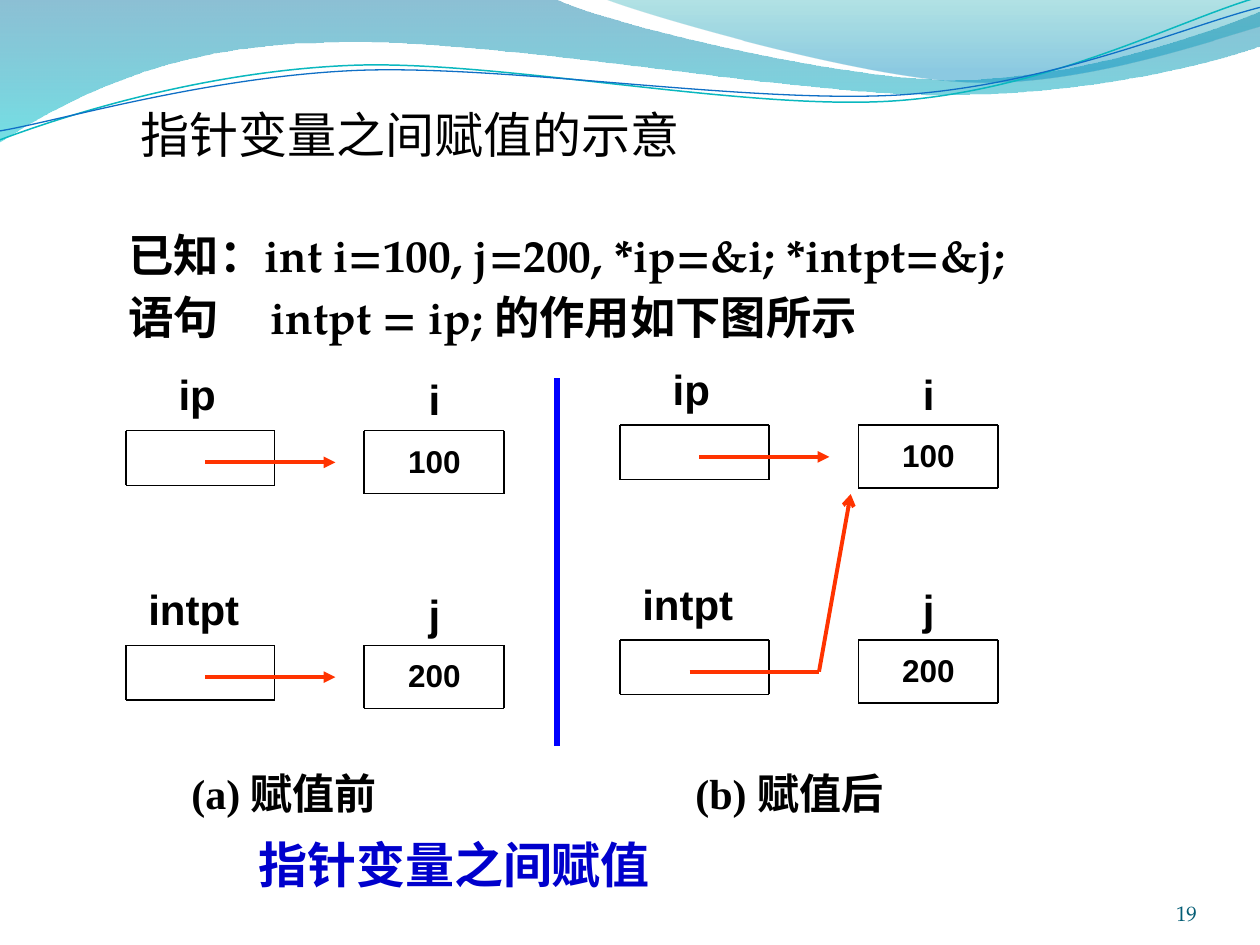
from lxml.etree import SubElement
from pptx import Presentation
from pptx.dml.color import RGBColor
from pptx.enum.shapes import MSO_CONNECTOR as Connector
from pptx.enum.text import MSO_ANCHOR as Anchor, PP_ALIGN as Align
from pptx.oxml.ns import qn
from pptx.util import Cm, Pt

BLACK = RGBColor(0x00, 0x00, 0x00)
ARROW_RED = RGBColor(0xFF, 0x33, 0x00)
DIVIDER_BLUE = RGBColor(0x00, 0x00, 0xFF)
CAPTION_BLUE = RGBColor(0x00, 0x00, 0xCC)
NUMBER_TEAL = RGBColor(0x04, 0x5D, 0x75)
WAVE_BLUE = RGBColor(0x00, 0x74, 0xA1)
WAVE_CYAN = RGBColor(0x00, 0xC6, 0xCF)
CREST_TEAL = RGBColor(0x00, 0xA1, 0xA9)
CREST_BLUE = RGBColor(0x00, 0x8B, 0xBF)
CURVE_TEAL = RGBColor(0x0A, 0xB8, 0xBF)
CURVE_BLUE = RGBColor(0x0F, 0x6F, 0xC6)

SANS, SERIF, ROMAN = "Arial", "TeX Gyre Pagella", "Times New Roman"
CHINESE = "Noto Sans CJK SC"

WAVE = [[(0, -0.03)], [(11.18, -0.03)],
        [(12.09, 0.43), (16.87, 1.6), (19.25, 1.6)],
        [(21.67, 1.6), (24.33, 0.66), (25.4, 0.23)], [(25.43, 0.91)],
        [(24.97, 1.12), (22.1, 1.93), (18.95, 1.91)],
        [(15.8, 1.91), (9.7, 0.71), (6.53, 0.86)],
        [(3.28, 0.89), (1.17, 2.11), (-0.03, 2.87)], [(0, -0.03)]]
CREST = [[(12.17, -0.03)],
         [(12.93, 0.28), (17.32, 1.57), (19.53, 1.65)],
         [(21.74, 1.75), (24.41, 0.81), (25.4, 0.53)], [(25.4, 0)], [(12.17, -0.03)]]
TEAL_CURVE = [[(0, 2.82)],
              [(1.22, 2.36), (4.01, 1.45), (7.04, 1.32)],
              [(10.03, 1.19), (15.06, 2.26), (18.11, 2.03)],
              [(21.16, 1.8), (23.83, 0.38), (25.35, -0.05)]]
BLUE_CURVE = [[(0, 2.64)],
              [(1.19, 2.44), (4.17, 1.55), (7.19, 1.42)],
              [(10.24, 1.3), (15.16, 2.11), (18.21, 1.91)],
              [(21.23, 1.7), (23.9, 0.53), (25.4, 0.15)]]


class SlideWriter:
    def __init__(self, slide):
        self.shapes = slide.shapes

    def style(self, paragraph, size, font, color=BLACK, bold=True, align=Align.LEFT):
        paragraph.alignment = align
        paragraph.font.size = Pt(size)
        paragraph.font.name = font
        paragraph.font.bold = bold
        paragraph.font.color.rgb = color
        SubElement(paragraph.font._element, qn("a:ea"), typeface=CHINESE)

    def tab_stop(self, paragraph, position):
        props = paragraph._p.get_or_add_pPr()
        tabs = props.makeelement(qn("a:tabLst"), {})
        SubElement(tabs, qn("a:tab"), pos=str(Cm(position)), algn="l")
        props.find(qn("a:defRPr")).addprevious(tabs)

    def indent(self, paragraph, distance):
        paragraph._p.get_or_add_pPr().set("marL", str(Cm(distance)))

    def text(self, x, y, width, height, lines, size, font, wrap=True, **look):
        frame = self.shapes.add_textbox(Cm(x), Cm(y), Cm(width), Cm(height)).text_frame
        frame.word_wrap = wrap
        frame.text = "\n".join(lines)
        for paragraph in frame.paragraphs:
            self.style(paragraph, size, font, **look)
        return frame

    def line(self, start, end, color, width, head=None):
        link = self.shapes.add_connector(Connector.STRAIGHT, *map(Cm, start + end))
        link.line.color.rgb = color
        link.line.width = Pt(width)
        if head:
            SubElement(link.line._get_or_add_ln(), qn("a:tailEnd"), type=head)
        SubElement(link._element.spPr, qn("a:effectLst"))

    def box(self, x, y, width, height):
        corners = [(x, y), (x + width, y), (x + width, y + height), (x, y + height)]
        for start, end in zip(corners, corners[1:] + corners[:1]):
            self.line(start, end, BLACK, 0.75)

    def outline(self, segments):
        points = [(Cm(x), Cm(y)) for segment in segments for x, y in segment]
        builder = self.shapes.build_freeform(*points[0])
        builder.add_line_segments(points[1:], close=segments[0] == segments[-1])
        form = builder.convert_to_shape()
        form.shadow.inherit = False
        steps = iter(list(form._element.spPr.iter(qn("a:lnTo"))))
        for segment in segments[1:]:
            step = next(steps)
            if len(segment) == 3:
                bend = step.makeelement(qn("a:cubicBezTo"), {})
                step.addprevious(bend)
                for part in (step, next(steps), next(steps)):
                    bend.append(part[0])
                    part.getparent().remove(part)
        return form

    def curve(self, segments, color, width):
        form = self.outline(segments)
        form.fill.background()
        form.line.color.rgb = color
        form.line.width = Pt(width)

    def wave(self, segments, stops):
        form = self.outline(segments)
        form.line.fill.background()
        form.fill.gradient()
        form.fill.gradient_angle = 270
        for stop, (position, color, _) in zip(form.fill.gradient_stops, stops):
            stop.position = position
            stop.color.rgb = color
        shades = form._element.spPr.iter(qn("a:srgbClr"))
        for shade, (_, _, opacity) in zip(shades, stops):
            SubElement(shade, qn("a:alpha"), val=str(opacity * 1000))

    def variables(self, x, y, pointer, label_shift, label_width, target, value):
        self.box(x, y, 3, 1.1)
        self.box(x + 4.8, y, 2.82, 1.27)
        self.text(x + 5.34, y + 0.1, 1.75, 1.02, [value], 18, SANS,
                  wrap=False, align=Align.CENTER)
        self.text(x + label_shift, y - 1.37, label_width, 1.27, [pointer], 24, SANS)
        self.text(x + 5.46, y - 1.27, 1.52, 1.27, [target], 24, SANS, align=Align.CENTER)

    def arrow(self, x, y):
        self.line((x + 1.6, y + 0.64), (x + 4.22, y + 0.64), ARROW_RED, 2.25, "triangle")


def main():
    deck = Presentation()
    deck.slide_width, deck.slide_height = Cm(25.4), Cm(19.05)
    writer = SlideWriter(deck.slides.add_slide(deck.slide_layouts[6]))

    writer.wave(WAVE, [(0, WAVE_BLUE, 45), (1, WAVE_CYAN, 55)])
    writer.wave(CREST, [(0, CREST_TEAL, 30), (0.8, CREST_BLUE, 45)])
    writer.curve(TEAL_CURVE, CURVE_TEAL, 0.85)
    writer.curve(BLUE_CURVE, CURVE_BLUE, 0.75)

    known, statement = writer.text(
        2.34, 4.45, 21.39, 2.54,
        ["已知：int i=100, j=200, *ip=&i; *intpt=&j;",
         "语句\tintpt = ip; 的作用如下图所示"], 25.9, SERIF).paragraphs
    statement.space_before = Pt(4.5)
    writer.tab_stop(statement, 2.87)

    writer.line((11.23, 7.62), (11.23, 15.04), DIVIDER_BLUE, 3)
    row_gap = 4.33
    before_x, before_y = 2.54, 8.68
    after_x, after_y = 12.5, 8.57
    for x, y in ((before_x, before_y), (after_x, after_y)):
        writer.variables(x, y, "ip", 0.81, 1.52, "i", "100")
        writer.variables(x, y + row_gap, "intpt", 0.2, 2.54, "j", "200")
        writer.arrow(x, y)
    writer.arrow(before_x, before_y + row_gap)
    bend = (16.51, 13.54)
    writer.line(bend, (17.15, 9.96), ARROW_RED, 2.25, "arrow")
    writer.line((13.9, 13.54), bend, ARROW_RED, 2.25)

    stages, caption = writer.text(
        3.61, 15.46, 16.99, 2.82,
        ["(a) 赋值前\t(b) 赋值后", "指针变量之间赋值"], 24, ROMAN).paragraphs
    writer.tab_stop(stages, 10.16)
    writer.style(caption, 28, CHINESE, CAPTION_BLUE)
    writer.indent(caption, 1.35)
    stages.line_spacing = caption.line_spacing = 0.9
    caption.space_before = Pt(13)

    writer.text(2.59, 1.98, 11.48, 1.45, ["指针变量之间赋值的示意"], 28, CHINESE,
                wrap=False, bold=False)
    number = writer.text(22.02, 17.65, 2.11, 1.02, ["19"], 12, SERIF,
                         color=NUMBER_TEAL, bold=False, align=Align.RIGHT)
    number.vertical_anchor = Anchor.BOTTOM
    number.margin_left = number.margin_right = number.margin_top = number.margin_bottom = 0

    deck.save("out.pptx")


if __name__ == "__main__":
    main()
